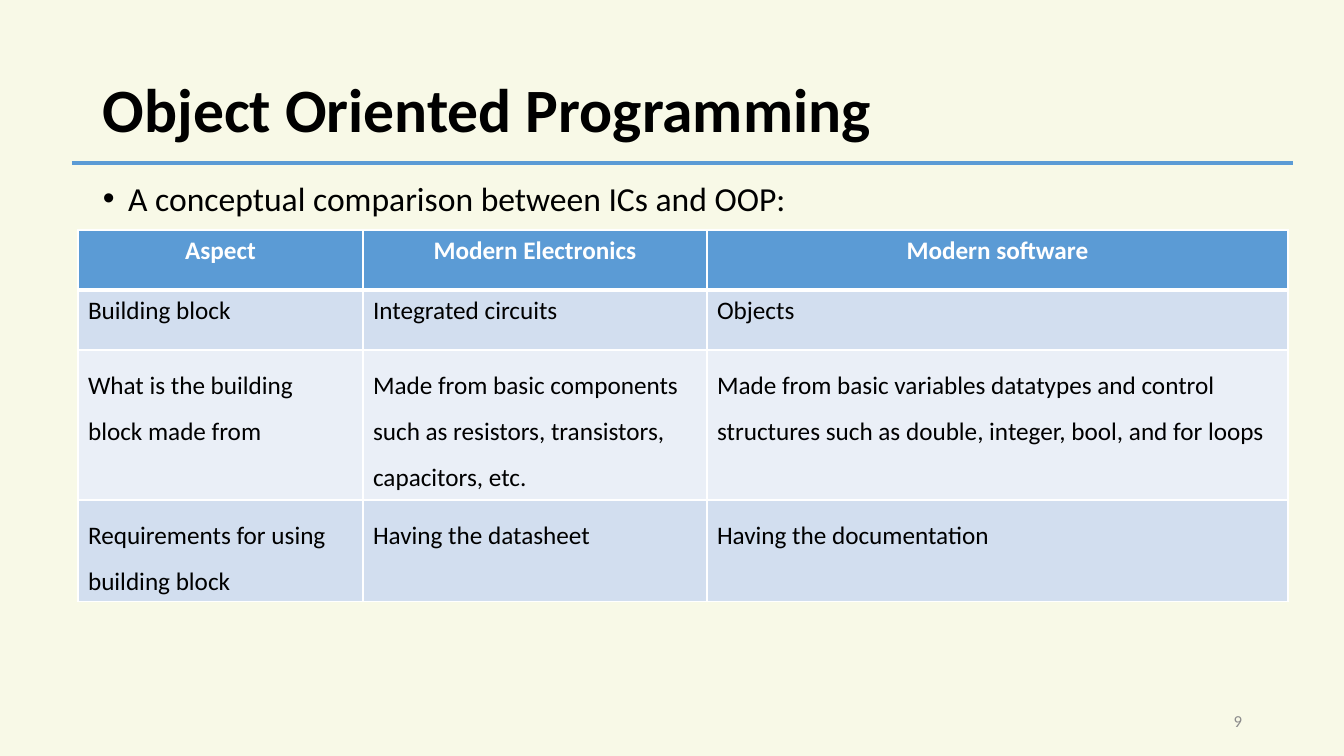
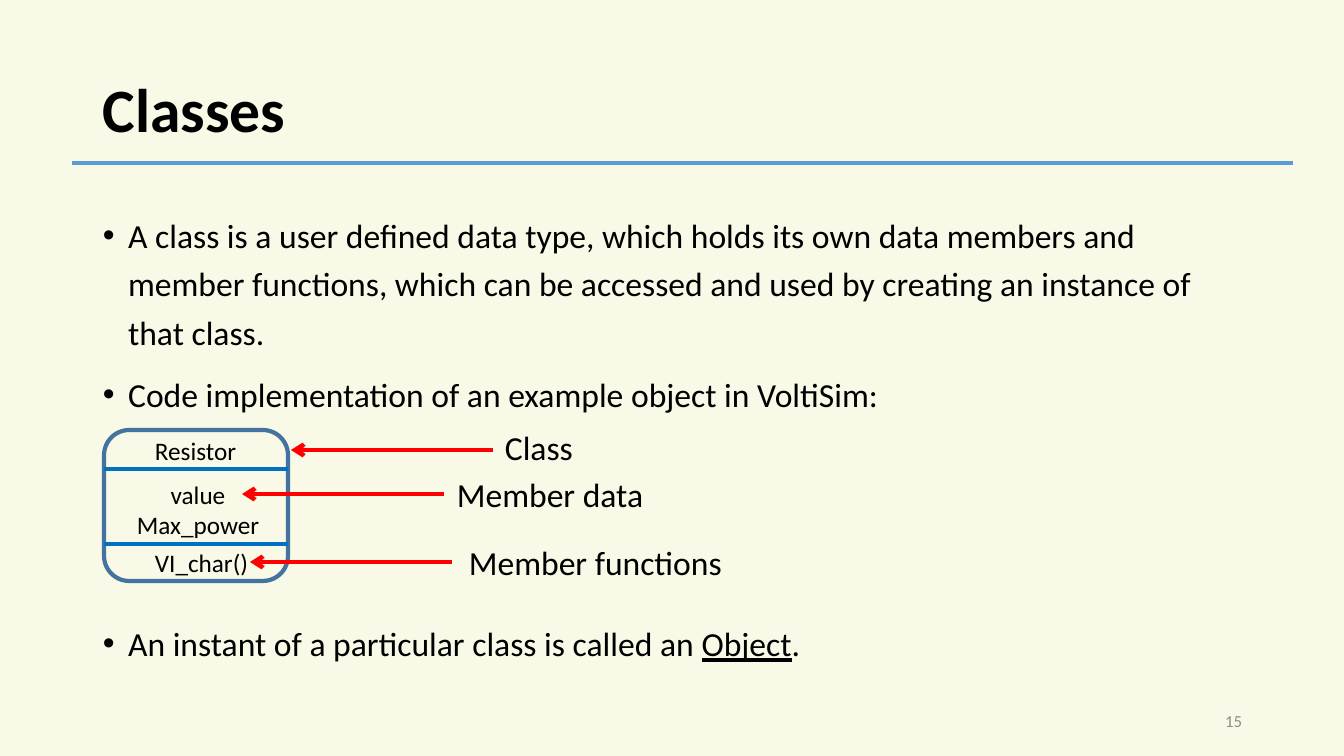
from lxml import etree
from pptx import Presentation
from pptx.dml.color import RGBColor
from pptx.enum.shapes import MSO_CONNECTOR, MSO_SHAPE
from pptx.enum.text import MSO_ANCHOR, PP_ALIGN
from pptx.oxml.ns import qn
from pptx.util import Emu, Pt

STRAIGHT = MSO_CONNECTOR.STRAIGHT
ROUNDED = MSO_SHAPE.ROUNDED_RECTANGLE
TOP, MIDDLE = MSO_ANCHOR.TOP, MSO_ANCHOR.MIDDLE
LEFT, CENTER, RIGHT = PP_ALIGN.LEFT, PP_ALIGN.CENTER, PP_ALIGN.RIGHT

FONT = "Calibri"
PAGE_WIDTH, PAGE_HEIGHT = 1344, 756
EMU_PER_PX = 12192000 / PAGE_WIDTH
COLORS = {
    "paper": "F8F9E7", "text": "000000", "number": "8C8C8C", "white": "FFFFFF",
    "accent": "5B9BD5", "band_dark": "D2DEEF", "band_light": "EAEFF7",
    "outline": "43739E", "divider": "0070C0", "arrow": "FF0000",
}

# Content: each bullet is a list of (text, underlined) spans
COMPARISON_TITLE, COMPARISON_NUMBER = "Object Oriented Programming", "9"
COMPARISON_BULLETS = [[("A conceptual comparison between ICs and OOP:", False)]]
COMPARISON_ROWS = [
    ("Aspect", "Modern Electronics", "Modern software"),
    ("Building block", "Integrated circuits", "Objects"),
    ("What is the building block made from",
     "Made from basic components such as resistors, transistors, capacitors, etc.",
     "Made from basic variables datatypes and control structures such as double, "
     "integer, bool, and for loops"),
    ("Requirements for using building block", "Having the datasheet",
     "Having the documentation"),
]
COLUMN_WIDTHS = (285, 344, 581)
ROW_HEIGHTS = (60, 60, 150, 102)
ROW_SPACING = (1, 1, 1.5, 1.5)

CLASSES_TITLE, CLASSES_NUMBER = "Classes", "15"
CLASSES_BULLETS = [
    [("A class is a user defined data type, which holds its own data members and "
      "member functions, which can be accessed and used by creating an instance of "
      "that class.", False)],
    [("Code implementation of an example object in VoltiSim:", False)],
]
OBJECT_BULLETS = [
    [("An instant of a particular class is called an ", False), ("Object", True),
     (".", False)],
]
CLASS_BOX = (104, 430, 184, 151)
DIVIDERS = (469, 544)
# Lines of text, place, alignment
CLASS_PARTS = [
    (["Resistor"], (145, 430, 106, 40), LEFT),
    (["value", "Max_power"], (125, 474, 146, 72), CENTER),
    (["VI_char()"], (145, 542, 115, 40), LEFT),
]
# Label, place, arrow tip
CALLOUTS = [
    ("Class", (495, 422, 115, 50), (291, 450)),
    ("Member data", (447, 469, 315, 50), (242, 494)),
    ("Member functions", (459, 537, 304, 50), (250, 562)),
]
ARROW_LENGTH = 202


def px(value):
    return Emu(round(value * EMU_PER_PX))


def color(name):
    return RGBColor.from_string(COLORS[name])


def style(para, size, ink="text", bold=False, align=LEFT, spacing=1):
    para.alignment = align
    para.line_spacing = spacing
    font = para.font
    font.name, font.size, font.bold = FONT, Pt(size), bold
    font.color.rgb = color(ink)


def add_box(page, place, anchor=TOP):
    frame = page.shapes.add_textbox(*map(px, place)).text_frame
    frame.word_wrap = True
    frame.vertical_anchor = anchor
    return frame


def add_text(page, lines, place, size, anchor=TOP, **looks):
    frame = add_box(page, place, anchor)
    frame.text = "\n".join(lines)
    for para in frame.paragraphs:
        style(para, size, **looks)


def add_bullets(page, bullets, top, height):
    frame = add_box(page, (93, top, 1159, height))
    for index, spans in enumerate(bullets):
        para = frame.add_paragraph() if index else frame.paragraphs[0]
        properties = para._p.get_or_add_pPr()
        properties.set("marL", "228600")
        properties.set("indent", "-228600")
        etree.SubElement(properties, qn("a:buFont"), typeface="Arial")
        etree.SubElement(properties, qn("a:buChar"), char="•")
        style(para, 24, spacing=1.2)
        if index:
            para.space_before = Pt(10)
        for text, underlined in spans:
            span = para.add_run()
            span.text = text
            if underlined:
                span.font.underline = True


def add_line(page, start, end, ink, arrow=False):
    line = page.shapes.add_connector(STRAIGHT, *map(px, (*start, *end)))
    line.line.color.rgb = color(ink)
    line.line.width = Pt(3)
    if arrow:
        etree.SubElement(line.line._get_or_add_ln(), qn("a:tailEnd"), type="arrow")
    etree.SubElement(line._element.spPr, qn("a:effectLst"))


def add_page(deck, title, number):
    page = deck.slides.add_slide(deck.slide_layouts[6])
    fill = page.background.fill
    fill.solid()
    fill.fore_color.rgb = color("paper")
    add_text(page, [title], (93, 40, 1159, 146), 44, MIDDLE, bold=True, spacing=0.9)
    add_text(page, [number], (950, 701, 302, 40), 12, MIDDLE, ink="number", align=RIGHT)
    add_line(page, (72, 163), (1293, 163), "accent")
    return page


def add_border(cell, side, points):
    properties = cell._tc.get_or_add_tcPr()
    border = etree.SubElement(properties, qn(f"a:ln{side}"), w=str(Pt(points)))
    fill = etree.SubElement(border, qn("a:solidFill"))
    etree.SubElement(fill, qn("a:srgbClr"), val=COLORS["white"])


def add_comparison_table(page):
    place = (78, 230, sum(COLUMN_WIDTHS), sum(ROW_HEIGHTS))
    table = page.shapes.add_table(
        len(COMPARISON_ROWS), len(COLUMN_WIDTHS), *map(px, place)).table
    for column, width in zip(table.columns, COLUMN_WIDTHS):
        column.width = px(width)
    for row, height in zip(table.rows, ROW_HEIGHTS):
        row.height = px(height)
    for r, texts in enumerate(COMPARISON_ROWS):
        header = r == 0
        band = "accent" if header else "band_dark" if r % 2 else "band_light"
        for c, text in enumerate(texts):
            cell = table.cell(r, c)
            for side in "LRTB":
                thick = (header and side == "B") or (r == 1 and side == "T")
                add_border(cell, side, 3 if thick else 1)
            cell.fill.solid()
            cell.fill.fore_color.rgb = color(band)
            cell.text = text
            style(cell.text_frame.paragraphs[0], 18,
                  ink="white" if header else "text", bold=header,
                  align=CENTER if header else LEFT, spacing=ROW_SPACING[r])


def add_class_diagram(page):
    left, _, width, _ = CLASS_BOX
    outline = page.shapes.add_shape(ROUNDED, *map(px, CLASS_BOX))
    outline.shadow.inherit = False
    outline.fill.background()
    outline.line.color.rgb = color("outline")
    outline.line.width = Pt(3)
    for y in DIVIDERS:
        add_line(page, (left, y), (left + width, y), "divider")
    for lines, place, align in CLASS_PARTS:
        add_text(page, lines, place, 18, align=align)
    for label, place, (tip_x, tip_y) in CALLOUTS:
        add_line(page, (tip_x + ARROW_LENGTH, tip_y), (tip_x, tip_y), "arrow", arrow=True)
        add_text(page, [label], place, 24)


def main():
    deck = Presentation()
    deck.slide_width, deck.slide_height = px(PAGE_WIDTH), px(PAGE_HEIGHT)

    # Comparison table
    page = add_page(deck, COMPARISON_TITLE, COMPARISON_NUMBER)
    add_bullets(page, COMPARISON_BULLETS, 165, 60)
    add_comparison_table(page)

    # Class diagram
    page = add_page(deck, CLASSES_TITLE, CLASSES_NUMBER)
    add_bullets(page, CLASSES_BULLETS, 202, 222)
    add_class_diagram(page)
    add_bullets(page, OBJECT_BULLETS, 610, 60)

    deck.save("out.pptx")


if __name__ == "__main__":
    main()
